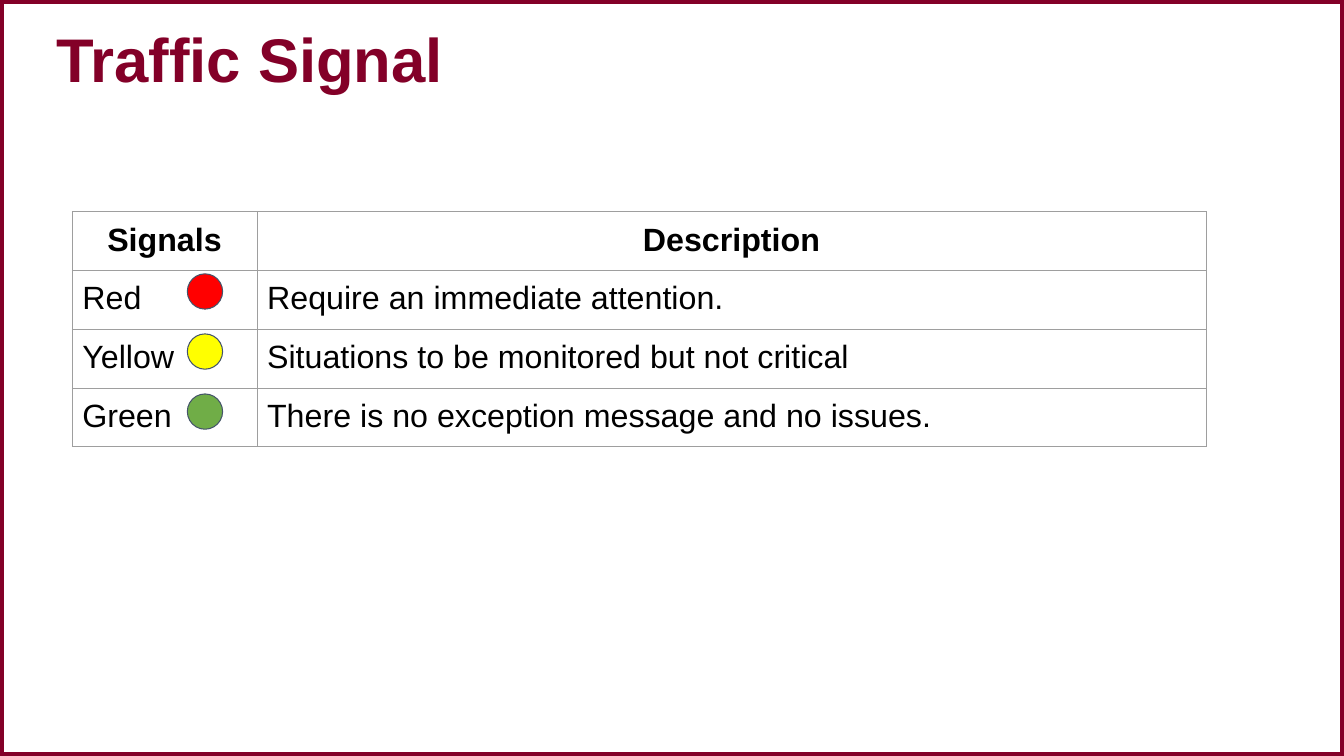
from lxml.etree import SubElement
from pptx import Presentation
from pptx.dml.color import RGBColor
from pptx.enum.shapes import MSO_SHAPE
from pptx.enum.text import MSO_ANCHOR, PP_ALIGN
from pptx.oxml.ns import qn
from pptx.util import Inches, Pt

COLS, ROWS = 160, 90
WINE, BLACK, GREY, SLATE = "830028", "000000", "9E9E9E", "44546A"
SIGNALS = [
    ("Red", "Require an immediate attention.", "FF0000"),
    ("Yellow", "Situations to be monitored but not critical", "FFFF00"),
    ("Green", "There is no exception message and no issues.", "70AD47"),
]


def color(code):
    """Turn a hex string into a colour."""
    return RGBColor.from_string(code)


class Board:
    """Hold the style and the current slide, measured on a grid."""

    def __init__(self, deck, font):
        """Add a blank slide to the deck."""
        self.slide = deck.slides.add_slide(deck.slide_layouts[6])
        self.font = font
        self.wide = deck.slide_width / COLS
        self.high = deck.slide_height / ROWS

    def box(self, left, top, width, height):
        """Convert grid columns and rows to slide lengths."""
        return (int(left * self.wide), int(top * self.high),
                int(width * self.wide), int(height * self.high))

    def text(self, para, words, size, code=BLACK, bold=False):
        """Add one run to a paragraph."""
        run = para.add_run()
        run.text = words
        run.font.name = self.font
        run.font.size = Pt(size)
        run.font.bold = bold
        run.font.color.rgb = color(code)

    def shape(self, kind, place, line, weight, fill=None):
        """Draw an outlined preset shape, filled if a colour is given."""
        item = self.slide.shapes.add_shape(kind, *self.box(*place))
        item.shadow.inherit = False
        item.line.color.rgb = color(line)
        item.line.width = Pt(weight)
        if fill:
            item.fill.solid()
            item.fill.fore_color.rgb = color(fill)
        else:
            item.fill.background()

    def title(self, words, place):
        """Place the heading."""
        frame = self.slide.shapes.add_textbox(*self.box(*place)).text_frame
        frame.word_wrap = True
        frame.vertical_anchor = MSO_ANCHOR.MIDDLE
        para = frame.paragraphs[0]
        para.line_spacing = 0.9
        self.text(para, words, 44, WINE, True)

    def edge(self, cell):
        """Draw a thin line on all four sides of a cell."""
        props = cell._tc.get_or_add_tcPr()
        for spot, side in enumerate(("lnL", "lnR", "lnT", "lnB")):
            line = props.makeelement(qn(f"a:{side}"), {"w": str(Pt(0.75))})
            props.insert(spot, line)
            fill = SubElement(line, qn("a:solidFill"))
            SubElement(fill, qn("a:srgbClr"), val=GREY)

    def table(self, rows, left, top, widths, height):
        """Build a plain table whose first row is a centred header."""
        place = self.box(left, top, sum(widths), height * len(rows))
        grid = self.slide.shapes.add_table(
            len(rows), len(widths), *place).table
        grid.horz_banding = False
        for col, width in zip(grid.columns, widths):
            col.width = int(width * self.wide)
        for down, row in enumerate(rows):
            for across, words in enumerate(row):
                cell = grid.cell(down, across)
                cell.fill.background()
                cell.margin_left = cell.margin_right = Inches(0.1)
                cell.margin_top = cell.margin_bottom = Inches(0.1)
                para = cell.text_frame.paragraphs[0]
                para.alignment = PP_ALIGN.LEFT if down else PP_ALIGN.CENTER
                self.text(para, words, 23, bold=down == 0)
                self.edge(cell)


deck = Presentation()
deck.slide_width, deck.slide_height = Inches(13.33), Inches(7.5)
board = Board(deck, "Arial")
board.shape(MSO_SHAPE.RECTANGLE, (0, 0, COLS, ROWS), WINE, 6)
board.title("Traffic Signal", (5.5, 1.8, 149.2, 11.2))
lines = [("Signals", "Description")] + [row[:2] for row in SIGNALS]
board.table(lines, 8.6, 25.2, (22, 113), 6.7)
for step, (_, _, fill) in enumerate(SIGNALS):
    place = (22.3, 32.6 + 7.15 * step, 4.2, 4.2)
    board.shape(MSO_SHAPE.OVAL, place, SLATE, 0.75, fill)
deck.save("out.pptx")
